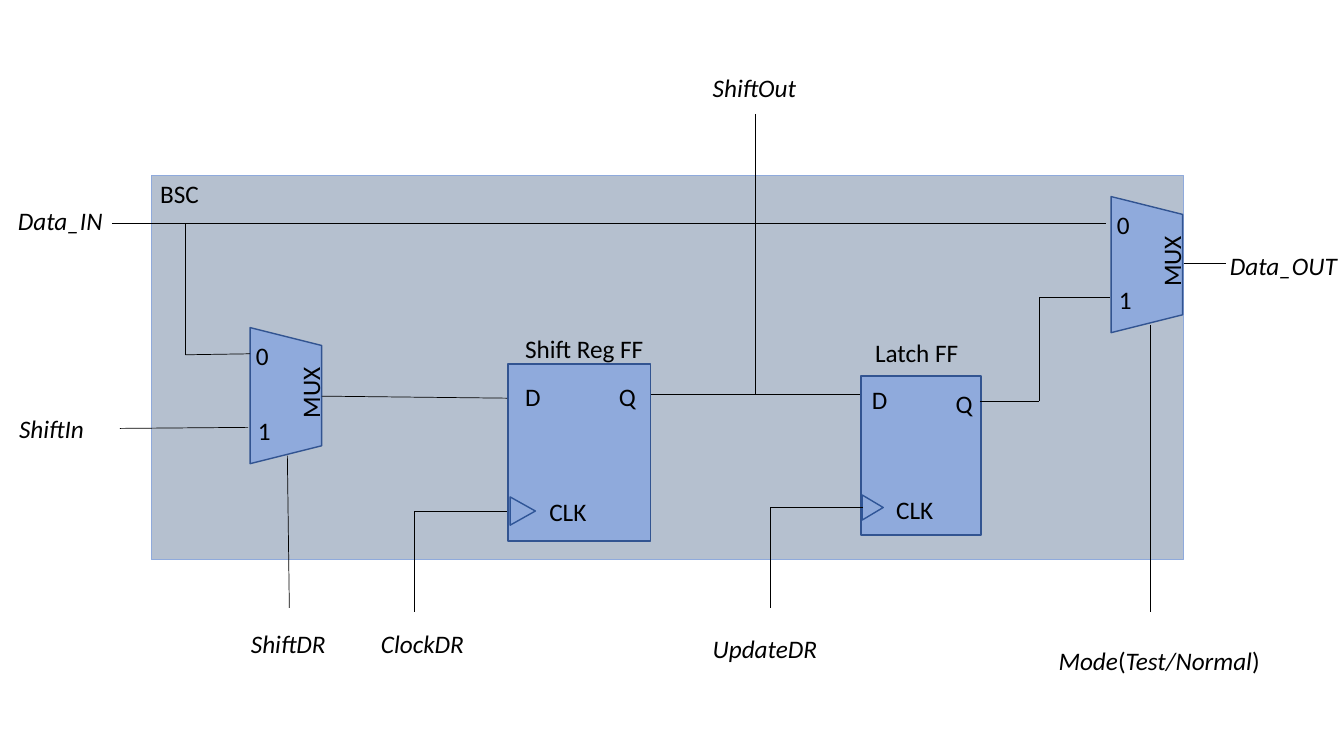
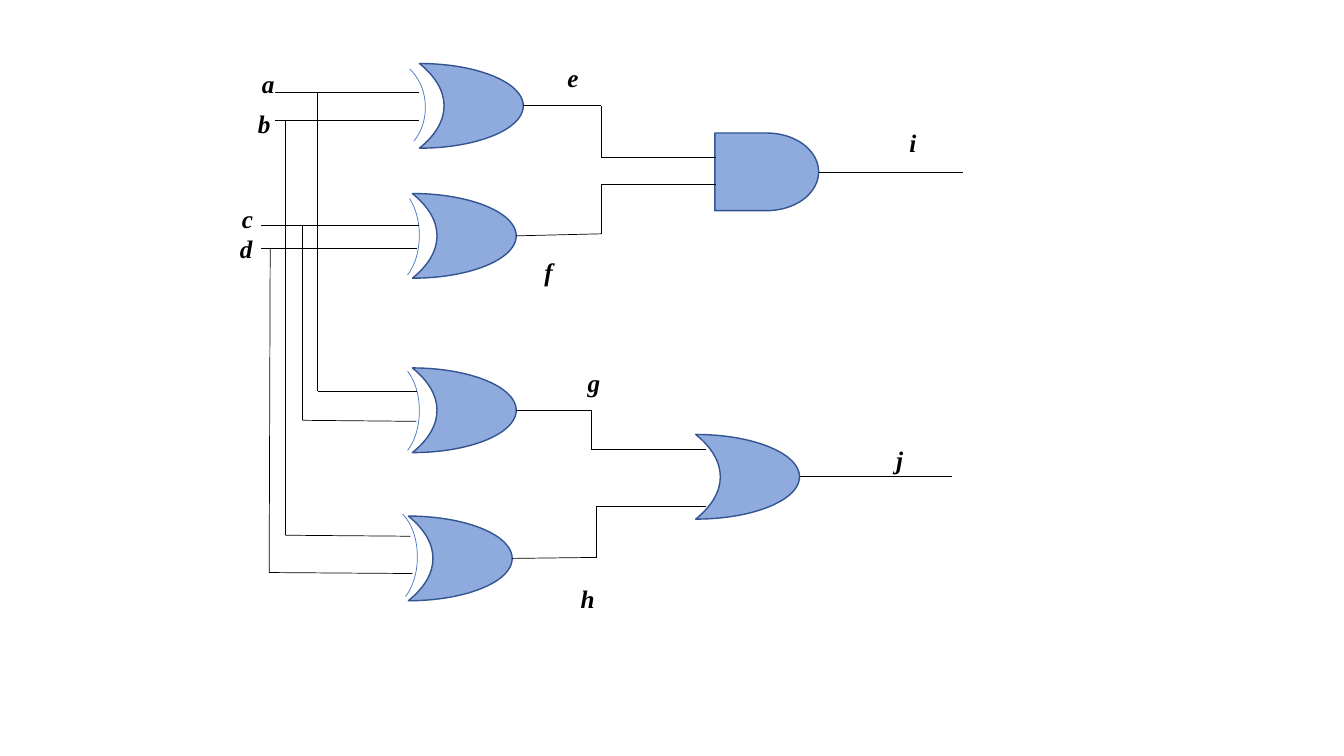
import dataclasses
import itertools
import pptx
import pptx.dml.color
import pptx.enum.shapes
import pptx.enum.text
import pptx.oxml
import pptx.oxml.ns
import pptx.util

Inches = pptx.util.Inches
Pt = pptx.util.Pt
SHAPE = pptx.enum.shapes.MSO_SHAPE

COLORS = {
    "panel": "8497B0",
    "block": "8FAADC",
    "edge": "325491",
    "clock": "2F5597",
    "arc": "4472C4",
    "ink": "000000",
}


def rgb(name):
    return pptx.dml.color.RGBColor.from_string(COLORS[name])


@dataclasses.dataclass
class Box:
    """A region of a slide; every part is placed relative to its corner."""
    s: object
    x: float = 0
    y: float = 0
    font: str = "Calibri"
    bold: bool = False

    def inner(self, x, y):
        return dataclasses.replace(self, x=self.x + x, y=self.y + y)

    def shape(self, kind, x, y, w, h, fill="block", line="edge", weight=1,
              rot=0, adj=()):
        sp = self.s.shapes.add_shape(kind, Inches(self.x + x), Inches(self.y + y),
                                     Inches(w), Inches(h))
        sp.shadow.inherit = False
        sp.rotation = rot
        for i, value in enumerate(adj):
            sp.adjustments[i] = value
        if fill:
            sp.fill.solid()
            sp.fill.fore_color.rgb = rgb(fill)
        else:
            sp.fill.background()
        sp.line.color.rgb = rgb(line)
        sp.line.width = Pt(weight)
        return sp

    def turned(self, kind, x, y, w, h, **style):
        """Shape turned by 90 degrees that covers w by h as seen."""
        return self.shape(kind, x + (w - h) / 2, y + (h - w) / 2, h, w,
                          rot=90, **style)

    def label(self, x, y, w, h, *runs, italic=False, rot=0):
        """Each run is a text, or a (text, italic) pair."""
        sp = self.s.shapes.add_textbox(Inches(self.x + x), Inches(self.y + y),
                                       Inches(w), Inches(h))
        sp.rotation = rot
        tf = sp.text_frame
        tf.word_wrap = True
        tf.auto_size = pptx.enum.text.MSO_AUTO_SIZE.SHAPE_TO_FIT_TEXT
        p = tf.paragraphs[0]
        for run in runs:
            text, slanted = (run, italic) if isinstance(run, str) else run
            r = p.add_run()
            r.text = text
            r.font.name = self.font
            r.font.size = Pt(18)
            r.font.bold = self.bold
            r.font.italic = slanted
            r.font.color.rgb = rgb("ink")

    def wire(self, *points):
        for (x1, y1), (x2, y2) in itertools.pairwise(points):
            c = self.s.shapes.add_connector(
                pptx.enum.shapes.MSO_CONNECTOR.STRAIGHT,
                Inches(self.x + x1), Inches(self.y + y1),
                Inches(self.x + x2), Inches(self.y + y2))
            c.line.color.rgb = rgb("ink")
            c.line.width = Pt(0.5)
            c._element.spPr.append(pptx.oxml.parse_xml(
                "<a:effectLst %s/>" % pptx.oxml.ns.nsdecls("a")))


# Boundary scan cell
def cell_panel(box, w, h):
    sp = box.shape(SHAPE.RECTANGLE, 0, 0, w, h, fill="panel", line="block")
    color = sp.fill._xPr.find(".//" + pptx.oxml.ns.qn("a:srgbClr"))
    color.append(pptx.oxml.parse_xml(
        '<a:alpha %s val="60000"/>' % pptx.oxml.ns.nsdecls("a")))
    box.label(-0.01, -0.02, 1.05, 0.4, "BSC")


def mux(box):
    box.turned(SHAPE.TRAPEZOID, 0, 0, 0.71, 1.35)
    box.label(-0.04, 0.08, 0.3, 0.36, "0")
    box.label(-0.02, 0.82, 0.3, 0.36, "1")
    box.label(0.09, 0.35, 0.95, 0.34, "MUX", rot=270)


def flip_flop(box, w, h, clock, labels):
    box.shape(SHAPE.RECTANGLE, 0, 0, w, h)
    box.turned(SHAPE.ISOSCELES_TRIANGLE, *clock, fill=None, line="clock")
    for text, x, y, width in labels:
        box.label(x, y, width, 0.4, text)


def scan_cell_slide(box):
    cell_panel(box.inner(1.5, 1.74), 10.24, 3.81)
    mux(box.inner(2.48, 3.25))
    mux(box.inner(11.02, 1.95))
    flip_flop(box.inner(5.04, 3.61), 1.41, 1.76, (0.02, 1.32, 0.25, 0.28),
              [("D", 0.07, 0.12, 0.25), ("Q", 1, 0.12, 0.25),
               ("CLK", 0.31, 1.26, 0.76), ("Shift Reg FF", 0.07, -0.35, 1.41)])
    flip_flop(box.inner(8.54, 3.73), 1.19, 1.58, (0.01, 1.18, 0.21, 0.25),
              [("D", 0.01, 0.03, 0.22), ("Q", 0.84, 0.07, 0.22),
               ("CLK", 0.25, 1.12, 0.64), ("Latch FF", 0.04, -0.43, 1.41)])

    # Data, shift, clock and mode wires
    for points in [
        [(3.19, 3.93), (5.03, 3.95)],
        [(6.46, 3.91), (8.53, 3.91)],
        [(9.72, 3.98), (10.31, 3.98), (10.31, 2.95), (11.01, 2.95)],
        [(1.11, 2.22), (10.97, 2.22)],
        [(1.84, 2.22), (1.84, 3.52), (2.48, 3.51)],
        [(1.19, 4.25), (2.46, 4.24)],
        [(4.11, 6.07), (4.11, 5.07), (5.03, 5.07)],
        [(7.64, 6.03), (7.64, 5.03), (8.56, 5.03)],
        [(2.85, 4.52), (2.87, 6.03)],
        [(11.41, 3.22), (11.41, 6.07)],
        [(11.74, 2.61), (12.16, 2.61)],
        [(7.49, 1.13), (7.49, 3.91)],
    ]:
        box.wire(*points)

    # Signal names
    for text, x, y, w in [
        ("Data_IN", 0.08, 1.99, 1.1), ("ShiftIn", 0.09, 4.05, 1.02),
        ("ShiftDR", 2.39, 6.18, 1.02), ("ClockDR", 3.68, 6.18, 1.35),
        ("UpdateDR", 6.97, 6.23, 1.35), ("ShiftOut", 6.97, 0.67, 1.35),
        ("Data_OUT", 12.1, 2.43, 1.35),
    ]:
        box.label(x, y, w, 0.4, text, italic=True)
    box.label(10.4, 6.35, 2.41, 0.4, ("Mode", True), ("(", False),
              ("Test/Normal", True), (")", False))


# Logic gates
def or_gate(box):
    box.shape(SHAPE.MOON, 0, 0, 1.03, 0.84, rot=180, adj=[0.763])


def xor_gate(box, arc_x, arc_y, arc_w, start, end):
    box.shape(SHAPE.ARC, arc_x, arc_y, arc_w, 0.99, fill=None, line="arc",
              weight=0.5, adj=[start, end])
    or_gate(box)


def gates_slide(box):
    box.shape(SHAPE.FLOWCHART_DELAY, 7.09, 1.32, 1.03, 0.77)
    or_gate(box.inner(6.9, 4.31))
    for x, y, arc in [
        (4.16, 0.63, (-0.8, -0.06, 0.86, 183.53, 28.08)),
        (4.09, 1.92, (-0.53, -0.08, 0.6, 179.38, 39.04)),
        (4.09, 3.65, (-0.53, -0.07, 0.6, 176.98, 39.04)),
        (4.05, 5.12, (-0.51, -0.09, 0.6, 173.98, 39.04)),
    ]:
        xor_gate(box.inner(x, y), *arc)

    for points in [
        # Inputs
        [(2.73, 0.92), (4.16, 0.92)],
        [(2.73, 1.19), (4.16, 1.19)],
        [(2.59, 2.24), (4.16, 2.24)],
        [(2.59, 2.46), (4.14, 2.46)],
        # Branches to the lower gates
        [(3.15, 0.92), (3.15, 3.88), (4.14, 3.88)],
        [(3, 2.24), (3, 4.17), (4.13, 4.18)],
        [(2.83, 1.19), (2.83, 5.31), (4.07, 5.32)],
        [(2.68, 2.46), (2.67, 5.68), (4.09, 5.69)],
        # Gate outputs
        [(5.19, 1.05), (5.96, 1.05), (5.96, 1.56), (7.1, 1.56)],
        [(5.12, 2.34), (5.96, 2.32), (5.96, 1.83), (7.1, 1.83)],
        [(5.12, 4.07), (5.87, 4.07), (5.87, 4.46), (7, 4.46)],
        [(5.08, 5.54), (5.92, 5.53), (5.92, 5.02), (7, 5.02)],
        [(8.12, 1.71), (9.55, 1.71)],
        [(7.93, 4.73), (9.44, 4.73)],
    ]:
        box.wire(*points)

    # Net names
    for text, x, y in [
        ("a", 2.5, 0.63), ("b", 2.46, 1.03), ("c", 2.3, 1.97), ("d", 2.28, 2.27),
        ("e", 5.53, 0.57), ("f", 5.3, 2.49), ("g", 5.73, 3.59), ("h", 5.66, 5.74),
        ("i", 8.92, 1.21), ("j", 8.79, 4.36),
    ]:
        box.label(x, y, 0.66, 0.35, text, italic=True)


prs = pptx.Presentation()
prs.slide_width = Inches(13.33)
prs.slide_height = Inches(7.5)
blank = prs.slide_layouts[6]
scan_cell_slide(Box(prs.slides.add_slide(blank)))
gates_slide(Box(prs.slides.add_slide(blank), font="Times New Roman", bold=True))
prs.save("out.pptx")
